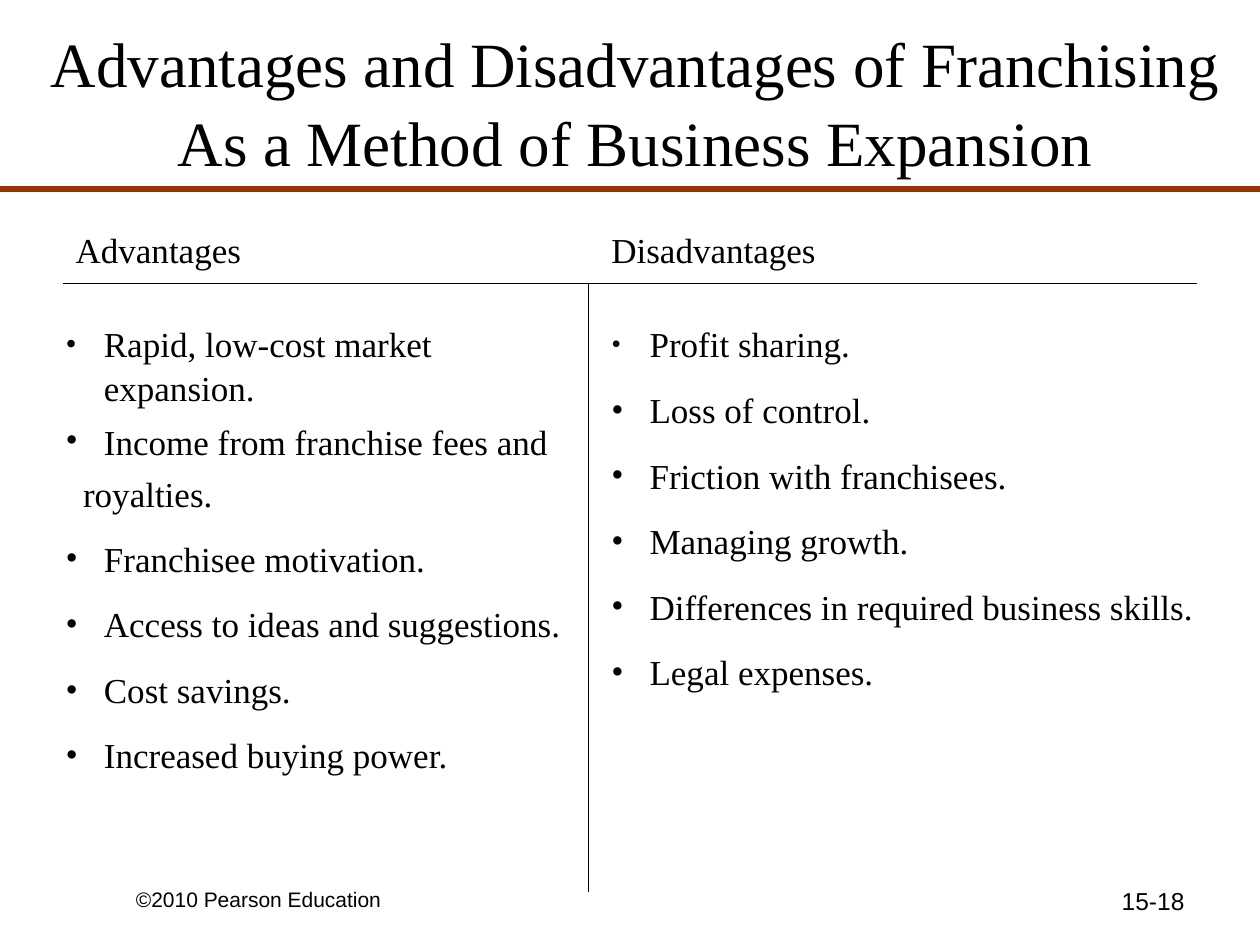
from dataclasses import dataclass
from lxml import etree
from pptx import Presentation, util as u
from pptx.dml.color import RGBColor
from pptx.enum import shapes, text
from pptx.oxml import ns

BLACK = RGBColor(0, 0, 0)
WHITE = RGBColor(255, 255, 255)
RUST = RGBColor(0x99, 0x33, 0)
SERIF = "Times New Roman"
SANS = "Arial"
HANG = u.Cm(0.77)
GAP = u.Pt(12.5)
LEAD = 1.04
TIGHT = 0.73


@dataclass
class Box:
    left: float
    top: float
    width: float
    height: float


@dataclass
class Item:
    words: str
    lead: float = LEAD
    dot: int = 100


@dataclass
class Column:
    head: str
    label: Box
    area: Box
    items: list[Item]


@dataclass
class Rule:
    start: tuple[float, float]
    end: tuple[float, float]
    color: RGBColor
    weight: float


COLUMNS = [
    Column("Advantages", Box(1.27, 4.45, 6.78, 1.12), Box(1.07, 6.35, 10.8, 8.33), [
        Item("Rapid, low-cost market expansion.", dot=90),
        Item("Income from franchise fees and", TIGHT),
        Item("royalties.", TIGHT, 0),
        Item("Franchisee motivation."),
        Item("Access to ideas and suggestions."),
        Item("Cost savings."),
        Item("Increased buying power."),
    ]),
    Column("Disadvantages", Box(12.07, 4.45, 6.78, 1.12), Box(12.07, 6.35, 12.5, 7.54), [
        Item("Profit sharing.", dot=80),
        Item("Loss of control."),
        Item("Friction with franchisees."),
        Item("Managing growth."),
        Item("Differences in required business skills."),
        Item("Legal expenses."),
    ]),
]

RULES = [
    Rule((0, 3.81), (25.4, 3.81), RUST, 3),
    Rule((1.27, 5.72), (24.13, 5.72), BLACK, 0.75),
    Rule((11.86, 5.72), (11.86, 17.98), BLACK, 0.75),
]


def place(shape, box: Box, anchor=text.MSO_ANCHOR.TOP):
    shape.left, shape.top = u.Cm(box.left), u.Cm(box.top)
    shape.width, shape.height = u.Cm(box.width), u.Cm(box.height)
    frame = shape.text_frame
    frame.word_wrap = True
    frame.auto_size = text.MSO_AUTO_SIZE.NONE
    frame.vertical_anchor = anchor
    return frame


def style(para, size: float, face: str, align=text.PP_ALIGN.LEFT) -> None:
    para.alignment = align
    for run in para.runs:
        font = run.font
        font.size, font.name, font.bold = u.Pt(size), face, False
        font.color.rgb = BLACK


def bullet(para, dot: int) -> None:
    props = para._p.get_or_add_pPr()
    if not dot:
        props.set("marL", str(u.Cm(0.35)))
        props.set("indent", "0")
        etree.SubElement(props, ns.qn("a:buNone"))
        return
    props.set("marL", str(HANG))
    props.set("indent", str(-HANG))
    etree.SubElement(props, ns.qn("a:buSzPct")).set("val", str(dot * 1000))
    etree.SubElement(props, ns.qn("a:buFont")).set("typeface", SERIF)
    etree.SubElement(props, ns.qn("a:buChar")).set("char", "•")


def fill_list(shape, col: Column) -> None:
    frame = place(shape, col.area)
    for i, item in enumerate(col.items):
        para = frame.add_paragraph() if i else frame.paragraphs[0]
        para.text = item.words
        bullet(para, item.dot)
        para.line_spacing = item.lead
        para.space_before = GAP if i else u.Pt(0)
        style(para, 20, SERIF)


def write(shape, words: str, box: Box, size: float, face: str,
          align=text.PP_ALIGN.LEFT, anchor=text.MSO_ANCHOR.TOP, lead: float = 1.0) -> None:
    frame = place(shape, box, anchor)
    frame.text = words
    para = frame.paragraphs[0]
    para.line_spacing = lead
    para.space_before = u.Pt(0)
    style(para, size, face, align)


def draw_rule(slide, rule: Rule) -> None:
    ends = [u.Cm(v) for v in rule.start + rule.end]
    line = slide.shapes.add_connector(shapes.MSO_CONNECTOR.STRAIGHT, *ends)
    line.line.color.rgb = rule.color
    line.line.width = u.Pt(rule.weight)
    etree.SubElement(line._element.spPr, ns.qn("a:effectLst"))


def add_note(slide, words: str, box: Box, size: float, align=text.PP_ALIGN.LEFT) -> None:
    write(slide.shapes.add_textbox(0, 0, 0, 0), words, box, size, SANS, align)


def main() -> None:
    deck = Presentation()
    deck.slide_width, deck.slide_height = u.Cm(25.4), u.Cm(19.05)
    slide = deck.slides.add_slide(deck.slide_layouts[4])
    slide.background.fill.solid()
    slide.background.fill.fore_color.rgb = WHITE
    title, *spots = slide.placeholders
    write(title, "Advantages and Disadvantages of Franchising As a Method of Business Expansion",
          Box(0.64, 0.43, 24.33, 3.18), 36, SERIF,
          text.PP_ALIGN.CENTER, text.MSO_ANCHOR.MIDDLE, 1.05)
    for col, label, area in zip(COLUMNS, spots[::2], spots[1::2]):
        write(label, col.head, col.label, 20, SERIF, lead=LEAD)
        fill_list(area, col)
    for rule in RULES:
        draw_rule(slide, rule)
    add_note(slide, "©2010 Pearson Education", Box(2.49, 17.75, 5.92, 0.69), 12)
    add_note(slide, "15-18", Box(18.21, 17.73, 5.92, 1.32), 14, text.PP_ALIGN.RIGHT)
    deck.save("out.pptx")


if __name__ == "__main__":
    main()
